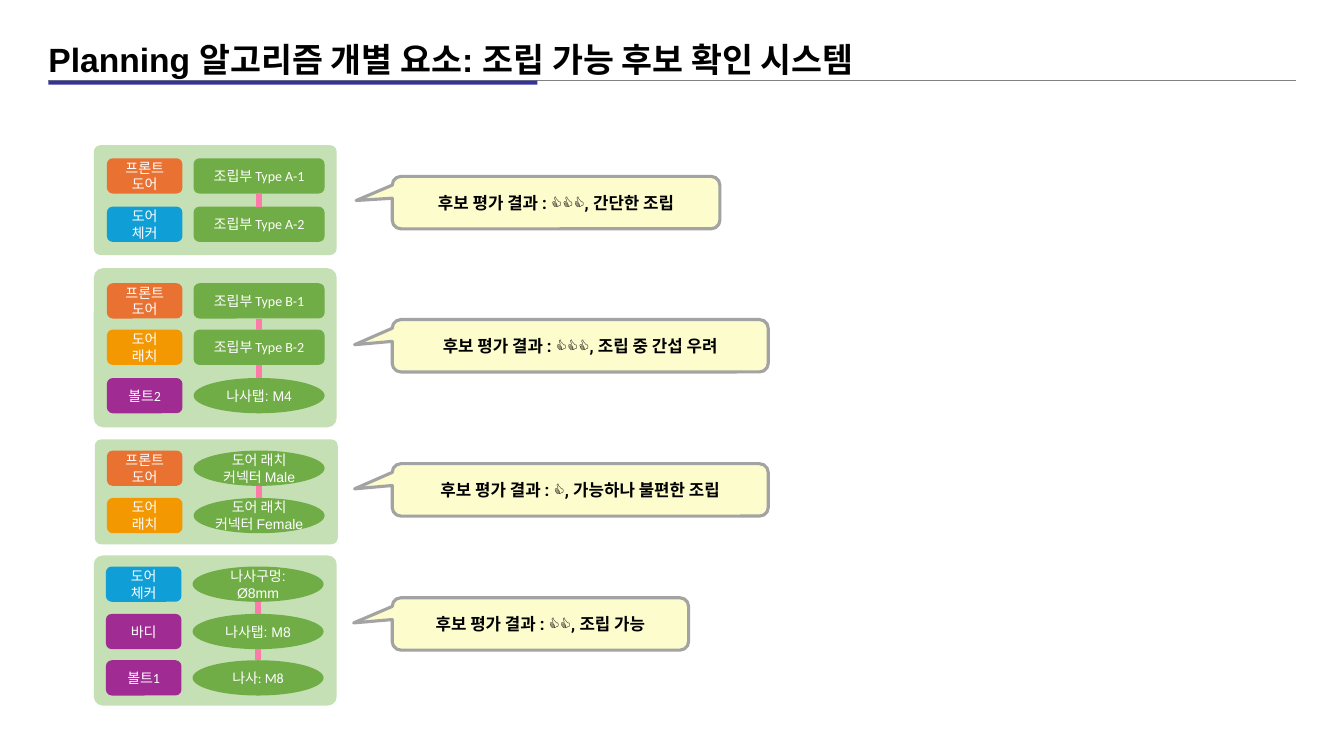
from pptx import Presentation
from pptx.dml.color import RGBColor
from pptx.enum.shapes import MSO_CONNECTOR, MSO_SHAPE
from pptx.enum.text import MSO_ANCHOR, PP_ALIGN
from pptx.oxml.ns import qn
from pptx.util import Inches, Pt
from lxml import etree

BOX, OVAL = MSO_SHAPE.ROUNDED_RECTANGLE, MSO_SHAPE.OVAL
GREEN, PALE_GREEN, PINK = "70AD47", "C5E0B4", "FF79A9"
ORANGE, BLUE, AMBER, PURPLE = "E97132", "0F9ED5", "F39800", "A02B93"
FRONT_DOOR = ("프론트 도어", ORANGE)
DOOR_CHECKER = ("도어\n체커", BLUE)
DOOR_LATCH = ("도어 래치", AMBER)
ROW_HEIGHT = 0.35


def add_block(shapes, kind, box, fill, text="", font=("Calibri", 10, "FFFFFF"), inset=None):
    """Add a filled shape with centred text; box is left, top, width, height in inches."""
    shape = shapes.add_shape(kind, *[Inches(length) for length in box])
    shape.shadow.inherit = False
    shape.fill.solid()
    shape.fill.fore_color.rgb = RGBColor.from_string(fill)
    shape.line.fill.background()
    frame = shape.text_frame
    frame.word_wrap = True
    frame.vertical_anchor = MSO_ANCHOR.MIDDLE
    if inset is not None:
        frame.margin_left = frame.margin_right = Inches(inset)
        frame.margin_top = frame.margin_bottom = Inches(inset)
    frame.text = text
    name, size, color = font
    for paragraph in frame.paragraphs:
        paragraph.alignment = PP_ALIGN.CENTER
        paragraph.font.name = name
        paragraph.font.size = Pt(size)
        paragraph.font.color.rgb = RGBColor.from_string(color)
    return shape


def add_line(shapes, start, end, color, width):
    line = shapes.add_connector(
        MSO_CONNECTOR.STRAIGHT, *[Inches(length) for length in (*start, *end)])
    line.line.color.rgb = RGBColor.from_string(color)
    line.line.width = Pt(width)
    etree.SubElement(line._element.spPr, qn("a:effectLst"))
    return line


presentation = Presentation()
presentation.slide_width = Inches(13.33)
presentation.slide_height = Inches(7.5)
slide = presentation.slides.add_slide(presentation.slide_layouts[5])

# Title and its rule
title = slide.shapes.title
title.left, title.top = Inches(0.38), Inches(0.34)
title.width, title.height = Inches(10.22), Inches(0.5)
title.text_frame.text = "Planning 알고리즘 개별 요소: 조립 가능 후보 확인 시스템"
title_paragraph = title.text_frame.paragraphs[0]
title_paragraph.alignment = PP_ALIGN.LEFT
title_paragraph.font.name = "Arial"
title_paragraph.font.size = Pt(24)
title_paragraph.font.bold = True
title_paragraph.font.color.rgb = RGBColor.from_string("000000")
add_line(slide.shapes, (0.48, 0.8), (12.85, 0.8), "808080", 1)
add_block(slide.shapes, MSO_SHAPE.RECTANGLE, (0.48, 0.8, 4.85, 0.04), "333399")

# Candidates: plate (left, top, height), column left, rows (top, part, joint kind, joint text, font)
candidates = [
    ((0.93, 1.44, 1.09), 1.06, [
        (1.57, FRONT_DOOR, BOX, "조립부 Type A-1", "Calibri"),
        (2.05, DOOR_CHECKER, BOX, "조립부 Type A-2", "Calibri")]),
    ((0.93, 2.66, 1.58), 1.06, [
        (2.81, FRONT_DOOR, BOX, "조립부 Type B-1", "Calibri"),
        (3.27, DOOR_LATCH, BOX, "조립부 Type B-2", "Calibri"),
        (3.75, ("볼트2", PURPLE), OVAL, "나사탭: M4", "Arial")]),
    ((0.94, 4.36, 1.04), 1.06, [
        (4.47, FRONT_DOOR, OVAL, "도어 래치 커넥터 Male", "Arial"),
        (4.94, DOOR_LATCH, OVAL, "도어 래치 커넥터 Female", "Arial")]),
    ((0.93, 5.51, 1.49), 1.05, [
        (5.62, DOOR_CHECKER, OVAL, "나사구멍: Ø8mm", "Arial"),
        (6.09, ("바디", PURPLE), OVAL, "나사탭: M8", "Arial"),
        (6.55, ("볼트1", PURPLE), OVAL, "나사: M8", "Calibri")]),
]
for (plate_left, plate_top, plate_height), part_left, rows in candidates:
    group = slide.shapes.add_group_shape()
    plate = add_block(group.shapes, BOX, (plate_left, plate_top, 2.41, plate_height), PALE_GREEN)
    plate.adjustments[0] = 0.06
    joint_left = part_left + 0.86
    joint_middle = joint_left + 0.65
    previous = None
    for top, (part, color), kind, joint_text, font_name in rows:
        add_block(group.shapes, BOX, (part_left, top, 0.75, ROW_HEIGHT), color, part)
        joint = add_block(group.shapes, kind, (joint_left, top, 1.3, ROW_HEIGHT), GREEN,
                          joint_text, (font_name, 10, "FFFFFF"), inset=0)
        if previous:
            previous_joint, previous_kind, previous_bottom = previous
            link = add_line(group.shapes, (joint_middle, previous_bottom),
                            (joint_middle, top), PINK, 4.5)
            if previous_kind == BOX:
                link.begin_connect(previous_joint, 2)
            link.end_connect(joint, 0)
        previous = (joint, kind, top + ROW_HEIGHT)

# Evaluation callouts: top, width, pointer x and y, rating and remark
callouts = [
    (1.75, 3.25, -0.61, -0.04, "👍👍👍, 간단한 조립"),
    (3.17, 3.73, -0.6, -0.02, "👍👍👍, 조립 중 간섭 우려"),
    (4.6, 3.73, -0.6, -0.02, "👍, 가능하나 불편한 조립"),
    (5.93, 2.94, -0.63, -0.02, "👍👍, 조립 가능"),
]
for top, width, pointer_x, pointer_y, result in callouts:
    callout = add_block(slide.shapes, MSO_SHAPE.ROUNDED_RECTANGULAR_CALLOUT,
                        (3.89, top, width, 0.52), "FDFCCC",
                        f"후보 평가 결과 : {result}", ("Roboto", 12, "000000"))
    callout.adjustments[0] = pointer_x
    callout.adjustments[1] = pointer_y
    callout.line.color.rgb = RGBColor.from_string("A3A3A3")
    callout.line.width = Pt(2.25)
    callout.text_frame.paragraphs[0].font.bold = True

presentation.save("out.pptx")
